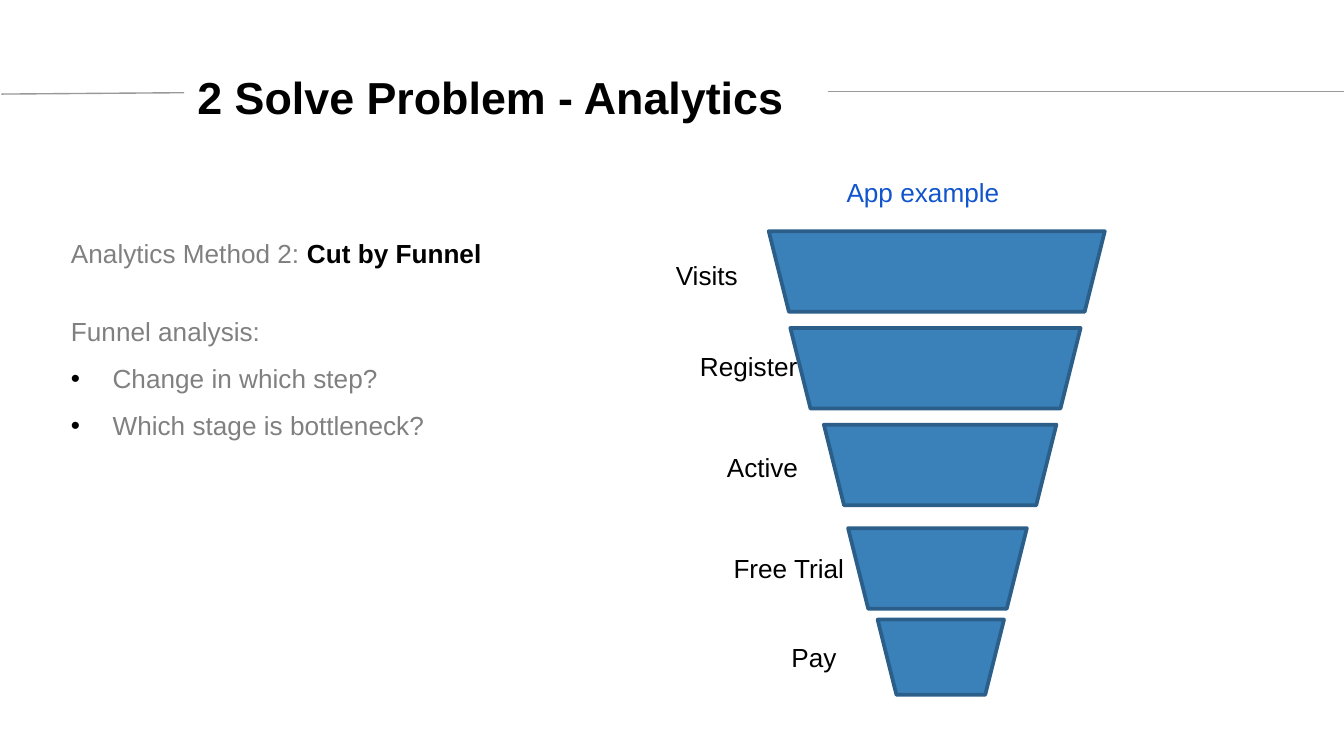
"""Builds the funnel analytics slide."""
import pptx
import pptx.util
import pptx.dml.color
import pptx.enum.shapes
import pptx.enum.text
import lxml.etree

Inches, Pt = pptx.util.Inches, pptx.util.Pt
Color = pptx.dml.color.RGBColor.from_string
kinds = pptx.enum.shapes

theme = {
    "font": "Arial", "title": 24, "body": 14,
    "ink": "000000", "gray": "808080", "link": "1155CC",
    "rule": "999999", "fill": "3A81BA", "edge": "2B5F8A",
}

deck = pptx.Presentation()
deck.slide_width = Inches(10)
deck.slide_height = Inches(10) * 9 // 16
slide = deck.slides.add_slide(deck.slide_layouts[6])
shapes = slide.shapes


def add_run(para, text, color="ink", size="body", bold=False):
    run = para.add_run()
    run.text = text
    look = {"name": theme["font"], "size": Pt(theme[size]), "bold": bold}
    for key, value in look.items():
        setattr(run.font, key, value)
    run.font.color.rgb = Color(theme[color])


def add_box(left, top, width, height, wrap=True):
    box = shapes.add_textbox(Inches(left), Inches(top), Inches(width), Inches(height))
    box.text_frame.word_wrap = wrap
    return box.text_frame


body = add_box(0.43, 1.72, 5, 1.63)
para = body.paragraphs[0]
add_run(para, "Analytics Method 2: ", "gray")
add_run(para, "Cut by Funnel ", bold=True)

lines = [
    ("Funnel analysis:", 16.5, False),
    ("Change in which step?", 0, True),
    ("Which stage is bottleneck?", 0, True),
]
for text, gap, dot in lines:
    para = body.add_paragraph()
    for key, value in {"line_spacing": 1.5, "space_before": Pt(gap)}.items():
        setattr(para, key, value)
    add_run(para, text, "gray")
    if dot:
        props = para._p.get_or_add_pPr()
        props.set("marL", str(Inches(0.31)))
        props.set("indent", str(-Inches(0.31)))
        tint = lxml.etree.SubElement(props, pptx.oxml.ns.qn("a:buClr"))
        lxml.etree.SubElement(tint, pptx.oxml.ns.qn("a:srgbClr"), val=theme["ink"])
        lxml.etree.SubElement(props, pptx.oxml.ns.qn("a:buFont"), typeface=theme["font"])
        lxml.etree.SubElement(props, pptx.oxml.ns.qn("a:buChar"), char="•")

for ends in [(0.01, 0.7, 1.37, 0.69), (6.16, 0.68, 10.01, 0.68)]:
    rule = shapes.add_connector(kinds.MSO_CONNECTOR.STRAIGHT, *map(Inches, ends))
    rule.line.color.rgb = Color(theme["rule"])
    rule.line.width = Pt(0.75)
    lxml.etree.SubElement(rule._element.spPr, pptx.oxml.ns.qn("a:effectLst"))

title = add_box(1.37, 0.42, 7.02, 0.58)
for side in ("left", "top", "right", "bottom"):
    setattr(title, "margin_" + side, Inches(0.1))
add_run(title.paragraphs[0], "2 Solve Problem - Analytics", size="title", bold=True)

head = add_box(6.2, 1.26, 1.52, 0.34).paragraphs[0]
head.space_before = Pt(6)
add_run(head, "App example", "link")

stages = [
    ("Visits", (4.93, 1.88, 0.67), (5.72, 1.72, 2.5, 0.6)),
    ("Register", (5.11, 2.56, 0.93), (5.88, 2.44, 2.16, 0.6)),
    ("Active", (5.31, 3.31, 0.74), (6.13, 3.16, 1.73, 0.6)),
    ("Free Trial", (5.36, 4.06, 1.04), (6.31, 3.93, 1.33, 0.6)),
    ("Pay", (5.79, 4.72, 0.54), (6.53, 4.61, 0.94, 0.56)),
]
for name, spot, area in stages:
    stage = shapes.add_shape(kinds.MSO_SHAPE.TRAPEZOID, *map(Inches, area))
    stage.rotation = 180
    stage.shadow.inherit = False
    stage.fill.solid()
    stage.fill.fore_color.rgb = Color(theme["fill"])
    stage.line.color.rgb = Color(theme["edge"])
    stage.line.width = Pt(2)
    label = add_box(*spot, 0.34, wrap=False)
    add_run(label.paragraphs[0], name)

deck.save("out.pptx")
